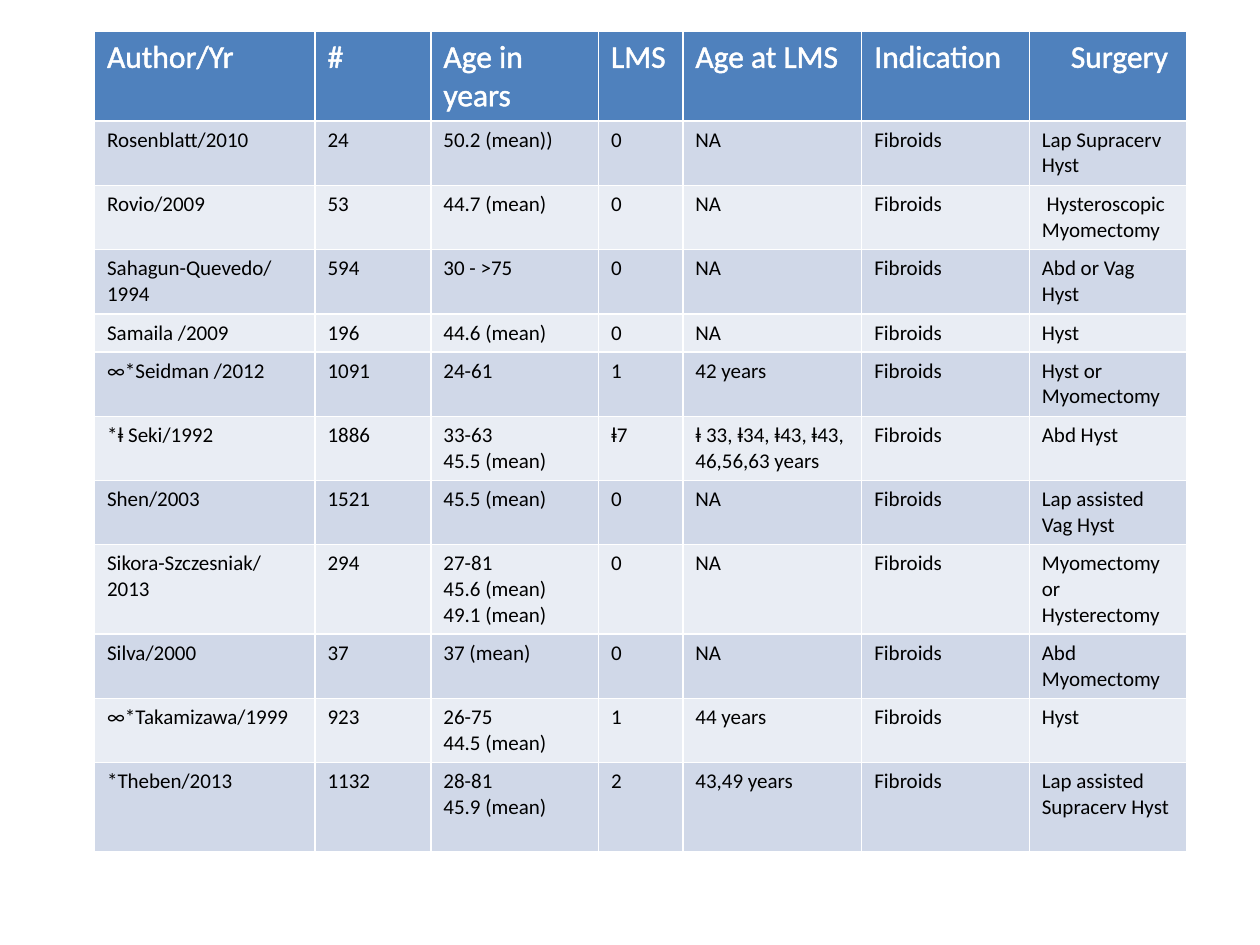
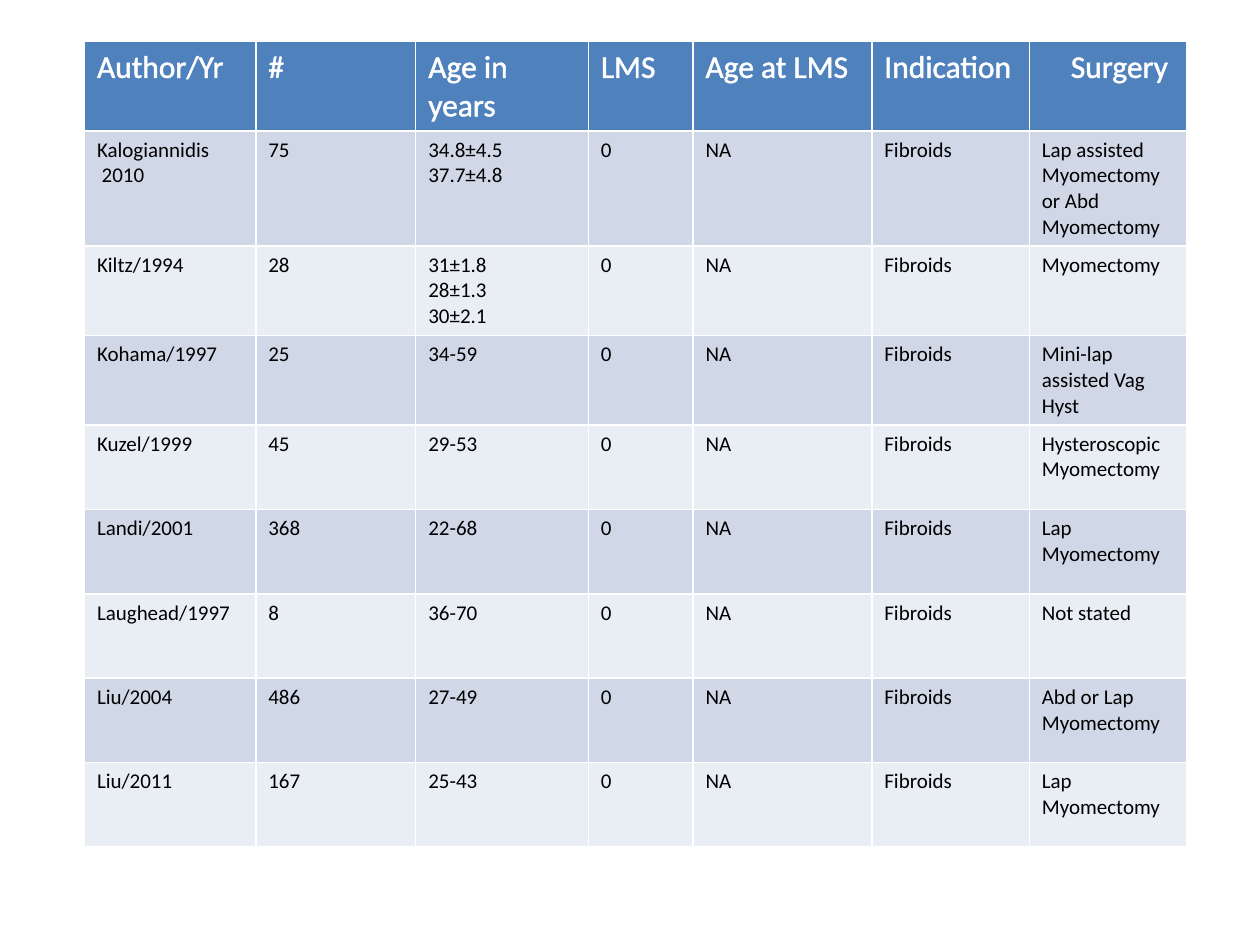
"""Builds two slides of study tables on fibroid surgery and LMS."""
import pptx
import pptx.dml.color
import pptx.util

Inches = pptx.util.Inches
Pt = pptx.util.Pt
RGBColor = pptx.dml.color.RGBColor

WHITE = RGBColor(0xFF, 0xFF, 0xFF)
BLACK = RGBColor(0, 0, 0)
HEADER_BLUE = RGBColor(0x4F, 0x81, 0xBD)
BANDS = (RGBColor(0xD0, 0xD8, 0xE8), RGBColor(0xE9, 0xED, 0xF4))

HEADINGS = ("Author/Yr", "#", "Age in years", "LMS", "Age at LMS", "Indication", "Surgery")
INDICATION = "Fibroids"
ONE_LINE, TWO_LINES, THREE_LINES, FOUR_LINES = 0.3, 0.51, 0.71, 0.91
EVEN_ROW = 0.67

FIRST_STUDIES = (
    (TWO_LINES, "Rosenblatt/2010", "24", "50.2 (mean))", "0", "NA", "Lap Supracerv Hyst"),
    (TWO_LINES, "Rovio/2009", "53", "44.7 (mean)", "0", "NA", " Hysteroscopic Myomectomy"),
    (TWO_LINES, "Sahagun-Quevedo/\n1994", "594", "30 - >75", "0", "NA", "Abd or Vag Hyst"),
    (ONE_LINE, "Samaila /2009", "196", "44.6 (mean)", "0", "NA", "Hyst"),
    (TWO_LINES, "∞*Seidman /2012", "1091", "24-61", "1", "42 years", "Hyst or Myomectomy"),
    (TWO_LINES, "*ⱡ Seki/1992", "1886", "33-63\n45.5 (mean)", "ⱡ7",
     "ⱡ 33, ⱡ34, ⱡ43, ⱡ43, 46,56,63 years", "Abd Hyst"),
    (TWO_LINES, "Shen/2003", "1521", "45.5 (mean)", "0", "NA", "Lap assisted Vag Hyst"),
    (THREE_LINES, "Sikora-Szczesniak/\n2013", "294", "27-81\n45.6 (mean)\n49.1 (mean)",
     "0", "NA", "Myomectomy or Hysterectomy"),
    (TWO_LINES, "Silva/2000", "37", "37 (mean)", "0", "NA", "Abd Myomectomy"),
    (TWO_LINES, "∞*Takamizawa/1999", "923", "26-75\n44.5 (mean)", "1", "44 years", "Hyst"),
    (THREE_LINES, "*Theben/2013", "1132", "28-81\n45.9 (mean)", "2", "43,49 years",
     "Lap assisted Supracerv Hyst"),
)

SECOND_STUDIES = (
    (FOUR_LINES, "Kalogiannidis\n 2010", "75", "34.8±4.5\n37.7±4.8", "0", "NA",
     "Lap assisted Myomectomy or Abd Myomectomy"),
    (THREE_LINES, "Kiltz/1994", "28", "31±1.8\n28±1.3\n30±2.1", "0", "NA", "Myomectomy"),
    (THREE_LINES, "Kohama/1997", "25", "34-59", "0", "NA", "Mini-lap assisted Vag Hyst"),
    (EVEN_ROW, "Kuzel/1999", "45", "29-53", "0", "NA", "Hysteroscopic Myomectomy"),
    (EVEN_ROW, "Landi/2001", "368", "22-68", "0", "NA", "Lap Myomectomy"),
    (EVEN_ROW, "Laughead/1997", "8", "36-70", "0", "NA", "Not stated"),
    (EVEN_ROW, "Liu/2004", "486", "27-49", "0", "NA", "Abd or Lap Myomectomy"),
    (EVEN_ROW, "Liu/2011", "167", "25-43", "0", "NA", "Lap Myomectomy"),
)


class StudyDeck:
    """Holds the presentation, its table style and the current slide."""

    font_name = "Calibri"
    header_height = 0.7

    def __init__(self):
        self.presentation = pptx.Presentation()
        self.presentation.slide_width = Inches(10)
        self.presentation.slide_height = Inches(7.5)
        self.slide = None

    def add_slide(self):
        """Start a blank slide."""
        self.slide = self.presentation.slides.add_slide(self.presentation.slide_layouts[6])

    def fill_cell(self, cell, text, fill, color, size, outlined=False):
        """Fill a cell and write one paragraph per line of text."""
        cell.fill.solid()
        cell.fill.fore_color.rgb = fill
        for index, line in enumerate(text.split("\n")):
            frame = cell.text_frame
            paragraph = frame.add_paragraph() if index else frame.paragraphs[0]
            run = paragraph.add_run()
            run.text = line
            run.font.name = self.font_name
            run.font.size = Pt(size)
            run.font.bold = False
            run.font.color.rgb = color
            if outlined:
                self.outline(run, color)

    def outline(self, run, color):
        """Draw a thin line around the letters of a run."""
        line = pptx.oxml.parse_xml(
            '<a:ln xmlns:a="http://schemas.openxmlformats.org/drawingml/2006/main" '
            f'w="{int(Pt(1.45))}"><a:solidFill><a:srgbClr val="{color}"/></a:solidFill></a:ln>')
        run.font._element.insert(0, line)

    def add_study_table(self, left, top, widths, studies):
        """Add a table with a header row and banded study rows."""
        heights = [self.header_height] + [study[0] for study in studies]
        table = self.slide.shapes.add_table(
            len(heights), len(widths), Inches(left), Inches(top),
            Inches(sum(widths)), Inches(sum(heights))).table
        for column, width in zip(table.columns, widths):
            column.width = Inches(width)
        for row, height in zip(table.rows, heights):
            row.height = Inches(height)
        for column, heading in enumerate(HEADINGS):
            self.fill_cell(table.cell(0, column), heading, HEADER_BLUE, WHITE, 18, outlined=True)
        surgery = table.cell(0, len(HEADINGS) - 1).text_frame.paragraphs[0]
        surgery._p.get_or_add_pPr().set("marL", str(Inches(0.23)))
        for row, (_, *values, operation) in enumerate(studies, 1):
            for column, text in enumerate((*values, INDICATION, operation)):
                self.fill_cell(table.cell(row, column), text, BANDS[(row - 1) % 2], BLACK, 12)


deck = StudyDeck()
deck.add_slide()
deck.add_study_table(0.75, 0.25, (1.75, 0.92, 1.33, 0.67, 1.42, 1.33, 1.25), FIRST_STUDIES)
deck.add_slide()
deck.add_study_table(0.67, 0.33, (1.36, 1.27, 1.37, 0.83, 1.42, 1.25, 1.25), SECOND_STUDIES)
deck.presentation.save("out.pptx")
